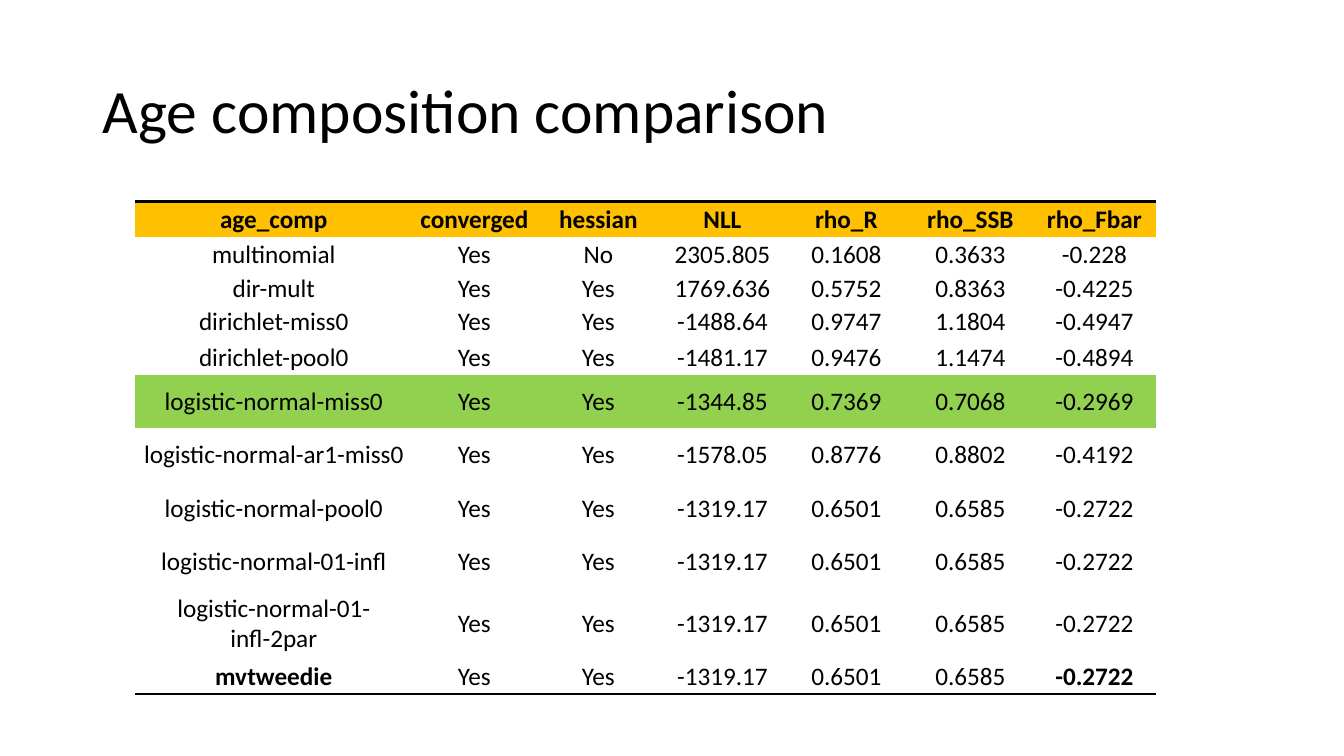
from dataclasses import dataclass

from lxml.etree import SubElement
from pptx import Presentation
from pptx.dml.color import RGBColor
from pptx.enum.text import MSO_ANCHOR, PP_ALIGN
from pptx.oxml import parse_xml
from pptx.oxml.ns import nsdecls, qn
from pptx.util import Inches, Pt

FONT = "Calibri"
BLACK, WHITE, AMBER, GREEN = "000000", "FFFFFF", "FFC000", "92D050"
NO_GRID_STYLE = "{2D5ABB26-0587-4C30-8999-92F81FD0307C}"
COLUMN_WIDTHS = [2.75] + [1.23] * 6


@dataclass
class TableRow:
    values: tuple[str, ...]
    height: float = 0.35
    fill: str = WHITE
    bold_columns: tuple[int, ...] = ()
    border: str = ""


ROWS = [
    TableRow(("age_comp", "converged", "hessian", "NLL", "rho_R", "rho_SSB", "rho_Fbar"),
             fill=AMBER, bold_columns=tuple(range(7)), border="lnT"),
    TableRow(("multinomial", "Yes", "No", "2305.805", "0.1608", "0.3633", "-0.228")),
    TableRow(("dir-mult", "Yes", "Yes", "1769.636", "0.5752", "0.8363", "-0.4225"), 0.31),
    TableRow(("dirichlet-miss0", "Yes", "Yes", "-1488.64", "0.9747", "1.1804", "-0.4947")),
    TableRow(("dirichlet-pool0", "Yes", "Yes", "-1481.17", "0.9476", "1.1474", "-0.4894")),
    TableRow(("logistic-normal-miss0", "Yes", "Yes", "-1344.85", "0.7369", "0.7068", "-0.2969"),
             0.53, fill=GREEN),
    TableRow(("logistic-normal-ar1-miss0", "Yes", "Yes", "-1578.05", "0.8776", "0.8802", "-0.4192"),
             0.53),
    TableRow(("logistic-normal-pool0", "Yes", "Yes", "-1319.17", "0.6501", "0.6585", "-0.2722"),
             0.53),
    TableRow(("logistic-normal-01-infl", "Yes", "Yes", "-1319.17", "0.6501", "0.6585", "-0.2722"),
             0.53),
    TableRow(("logistic-normal-01-infl-2par", "Yes", "Yes", "-1319.17", "0.6501", "0.6585", "-0.2722"),
             0.7),
    TableRow(("mvtweedie", "Yes", "Yes", "-1319.17", "0.6501", "0.6585", "-0.2722"),
             bold_columns=(0, 6), border="lnB"),
]


def color(value: str) -> RGBColor:
    return RGBColor.from_string(value)


def write_text(frame, text: str, *, size: float, bold: bool = False,
               align=PP_ALIGN.LEFT, line_spacing: float = 1.0) -> None:
    para = frame.paragraphs[0]
    para.alignment = align
    para.line_spacing = line_spacing
    span = para.add_run()
    span.text = text
    span.font.name = FONT
    span.font.size = Pt(size)
    span.font.bold = bold
    span.font.color.rgb = color(BLACK)


def add_border(cell, side: str, width: float = 2) -> None:
    # Border elements precede the fill in the cell properties
    line = parse_xml(f'<a:{side} {nsdecls("a")} w="{Pt(width)}"/>')
    fill = SubElement(line, qn("a:solidFill"))
    SubElement(fill, qn("a:srgbClr"), val=BLACK)
    cell._tc.get_or_add_tcPr().insert(0, line)


def add_title(page, text: str) -> None:
    title = page.shapes.title
    title.left, title.top = Inches(0.92), Inches(0.4)
    title.width, title.height = Inches(11.5), Inches(1.45)
    title.text_frame.word_wrap = True
    title.text_frame.vertical_anchor = MSO_ANCHOR.MIDDLE
    write_text(title.text_frame, text, size=44, line_spacing=0.9)


def add_comparison_table(page, rows: list[TableRow]) -> None:
    frame = page.shapes.add_table(
        len(rows), len(COLUMN_WIDTHS), Inches(1.34), Inches(2),
        Inches(sum(COLUMN_WIDTHS)), Inches(sum(row.height for row in rows)))
    table = frame.table
    table.first_row = table.horz_banding = False
    table._tbl.tblPr.find(qn("a:tableStyleId")).text = NO_GRID_STYLE

    for column, width in zip(table.columns, COLUMN_WIDTHS):
        column.width = Inches(width)

    for table_row, row in zip(table.rows, rows):
        table_row.height = Inches(row.height)
        for index, (cell, value) in enumerate(zip(table_row.cells, row.values)):
            cell.margin_left = cell.margin_right = cell.margin_top = Inches(0.01)
            cell.margin_bottom = 0
            cell.vertical_anchor = MSO_ANCHOR.MIDDLE
            cell.fill.solid()
            cell.fill.fore_color.rgb = color(row.fill)
            write_text(cell.text_frame, value, size=18,
                       bold=index in row.bold_columns, align=PP_ALIGN.CENTER)
            if row.border:
                add_border(cell, row.border)


def main() -> None:
    deck = Presentation()
    deck.slide_width, deck.slide_height = Inches(13.33), Inches(7.5)
    page = deck.slides.add_slide(deck.slide_layouts[5])
    add_title(page, "Age composition comparison")
    add_comparison_table(page, ROWS)
    deck.save("out.pptx")


if __name__ == "__main__":
    main()
